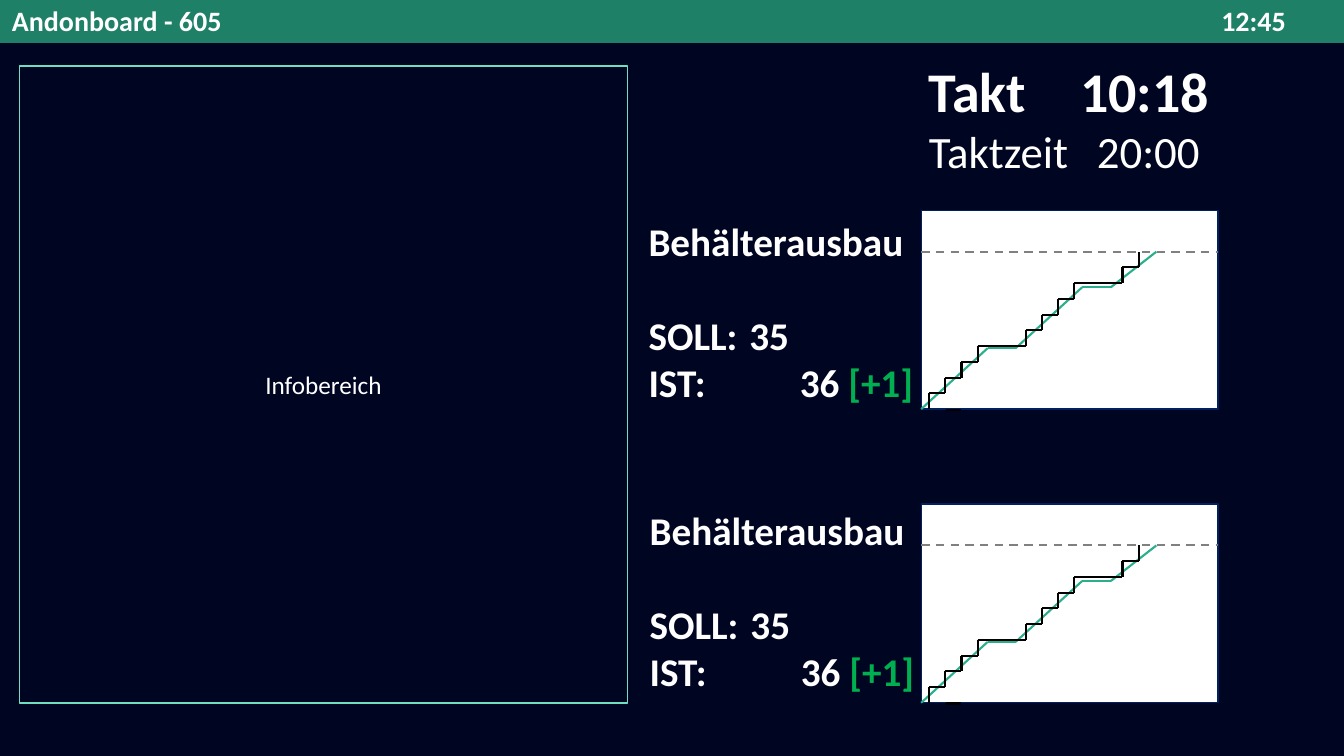
import itertools

import pptx
import pptx.dml.color
import pptx.enum.dml
import pptx.enum.shapes
import pptx.enum.text
import pptx.oxml
import pptx.oxml.ns
import pptx.util

Pt = pptx.util.Pt
Align = pptx.enum.text.PP_ALIGN
Anchor = pptx.enum.text.MSO_ANCHOR
RECTANGLE = pptx.enum.shapes.MSO_SHAPE.RECTANGLE
FONT = "Calibri"
COLOURS = {
    "background": "000522", "header": "1E8066", "text": "FFFFFF",
    "ahead": "00B050", "info_border": "70DEC1", "chart_fill": "FFFFFF",
    "chart_border": "002060", "plan": "29AF8C", "actual": "000000",
    "target": "808080",
}


def colour(name):
    """Return the named colour."""
    return pptx.dml.color.RGBColor.from_string(COLOURS[name])


def points(*lengths):
    """Convert numbers to lengths in points."""
    return [Pt(length) for length in lengths]


def add_run(paragraph, text, size, bold=True, colour_name="text"):
    """Append one formatted run."""
    run = paragraph.add_run()
    run.text = text
    run.font.name = FONT
    run.font.size = Pt(size)
    run.font.bold = bold
    run.font.color.rgb = colour(colour_name)


def add_tab_stop(paragraph, position, alignment="l"):
    """Give a paragraph one tab stop."""
    tab_list = pptx.oxml.parse_xml(
        f'<a:tabLst {pptx.oxml.ns.nsdecls("a")}>'
        f'<a:tab pos="{Pt(position)}" algn="{alignment}"/></a:tabLst>')
    paragraph._p.get_or_add_pPr().append(tab_list)


def set_insets(frame, left, top, right, bottom):
    """Set the inner margins of a text frame."""
    frame.margin_left, frame.margin_top = points(left, top)
    frame.margin_right, frame.margin_bottom = points(right, bottom)


def add_text_frame(slide, box, insets):
    """Add a wrapping text box and return its frame."""
    frame = slide.shapes.add_textbox(*points(*box)).text_frame
    frame.word_wrap = True
    set_insets(frame, *insets)
    return frame


def add_rectangle(shapes, box, border, fill=None):
    """Add a rectangle with a thin border and an optional fill."""
    shape = shapes.add_shape(RECTANGLE, *points(*box))
    shape.shadow.inherit = False
    shape.line.color.rgb = colour(border)
    shape.line.width = Pt(1)
    if fill:
        shape.fill.solid()
        shape.fill.fore_color.rgb = colour(fill)
    else:
        shape.fill.background()
    return shape


def add_path(shapes, origin, corners, colour_name, dashed=False):
    """Join successive corners, measured from the origin, with lines."""
    left, top = origin
    for (x1, y1), (x2, y2) in itertools.pairwise(corners):
        line = shapes.add_connector(
            pptx.enum.shapes.MSO_CONNECTOR.STRAIGHT,
            *points(left + x1, top + y1, left + x2, top + y2))
        line.line.color.rgb = colour(colour_name)
        line.line.width = Pt(1.5)
        if dashed:
            line.line.dash_style = pptx.enum.dml.MSO_LINE.DASH
        line._element.spPr.append(pptx.oxml.parse_xml(
            f'<a:effectLst {pptx.oxml.ns.nsdecls("a")}/>'))


def header(slide, box):
    """Turn the title into a bar with the board name and the time."""
    title = slide.shapes.title
    title.left, title.top, title.width, title.height = points(*box)
    title.fill.solid()
    title.fill.fore_color.rgb = colour("header")
    frame = title.text_frame
    frame.auto_size = pptx.enum.text.MSO_AUTO_SIZE.NONE
    frame.vertical_anchor = Anchor.TOP
    set_insets(frame, 8.5, 2.5, 8.5, 3)
    paragraph = frame.paragraphs[0]
    paragraph.alignment = Align.LEFT
    add_tab_stop(paragraph, 910, "r")
    add_run(paragraph, "Andonboard - 605\t12:45", 20)


def takt_clock(slide, box):
    """Show the running takt above the takt time."""
    frame = add_text_frame(slide, box, (5.5, 3.5, 0, 3.5))
    current, planned = frame.paragraphs[0], frame.add_paragraph()
    add_tab_stop(current, 108)
    add_run(current, "Takt\t10:18", 40)
    add_tab_stop(planned, 120)
    add_run(planned, "Taktzeit\t20:00", 32, bold=False)


def station_label(slide, box):
    """Name a station and list its target and actual counts."""
    frame = add_text_frame(slide, box, (7.2, 3.6, 0, 3.6))
    name = frame.paragraphs[0]
    name.space_after = Pt(33.6)
    add_run(name, "Behälterausbau", 28)
    target, actual = frame.add_paragraph(), frame.add_paragraph()
    add_tab_stop(target, 72)
    add_run(target, "SOLL:\t35", 28)
    add_tab_stop(actual, 108)
    add_run(actual, "IST:\t36 ", 28)
    add_run(actual, "[+1]", 28, colour_name="ahead")


def progress_chart(slide, box):
    """Draw the plan line, the actual staircase and the target level."""
    left, top, width, height = box
    shapes = slide.shapes.add_group_shape().shapes
    add_rectangle(shapes, box, "chart_border", "chart_fill")
    origin, target = (left, top), 29.6
    plan = [(0, height), (47.5, 98.5), (67.5, 98.5), (115, 55),
            (135.5, 55), (168, target)]
    add_path(shapes, origin, plan, "plan")

    rise_slots = [0, 1, 2, 3, 6, 7, 8, 9, 12, 13]
    rise = (height - target) / len(rise_slots)
    staircase = []
    for index, slot in enumerate(rise_slots):
        x = 5.8 + 11.5 * slot
        y = height - rise * index
        staircase += [(x, y), (x, y - rise)]
    add_path(shapes, origin, staircase, "actual")
    base_mark = [(18, height + 0.5), (28.8, height + 0.5)]
    add_path(shapes, origin, base_mark, "actual")
    add_path(shapes, origin, [(0, target), (width, target)], "target", True)


def info_area(slide, box):
    """Frame the space reserved for information."""
    frame = add_rectangle(slide.shapes, box, "info_border").text_frame
    frame.vertical_anchor = Anchor.MIDDLE
    paragraph = frame.paragraphs[0]
    paragraph.alignment = Align.CENTER
    add_run(paragraph, "Infobereich", 18, bold=False)


def main():
    """Build and save the board."""
    presentation = pptx.Presentation()
    presentation.slide_width, presentation.slide_height = points(960, 540)
    slide = presentation.slides.add_slide(presentation.slide_layouts[5])
    slide.background.fill.solid()
    slide.background.fill.fore_color.rgb = colour("background")

    header(slide, (0, 0, 960, 30.7))
    for label_left, label_top, chart_top in ((456.2, 151.7, 150.2),
                                             (457, 358, 360)):
        station_label(slide, (label_left, label_top, 205, 143))
        progress_chart(slide, (658, chart_top, 212, 142))
    takt_clock(slide, (658, 37, 220, 94))
    info_area(slide, (14, 47.2, 434.2, 455))
    presentation.save("out.pptx")


main()
